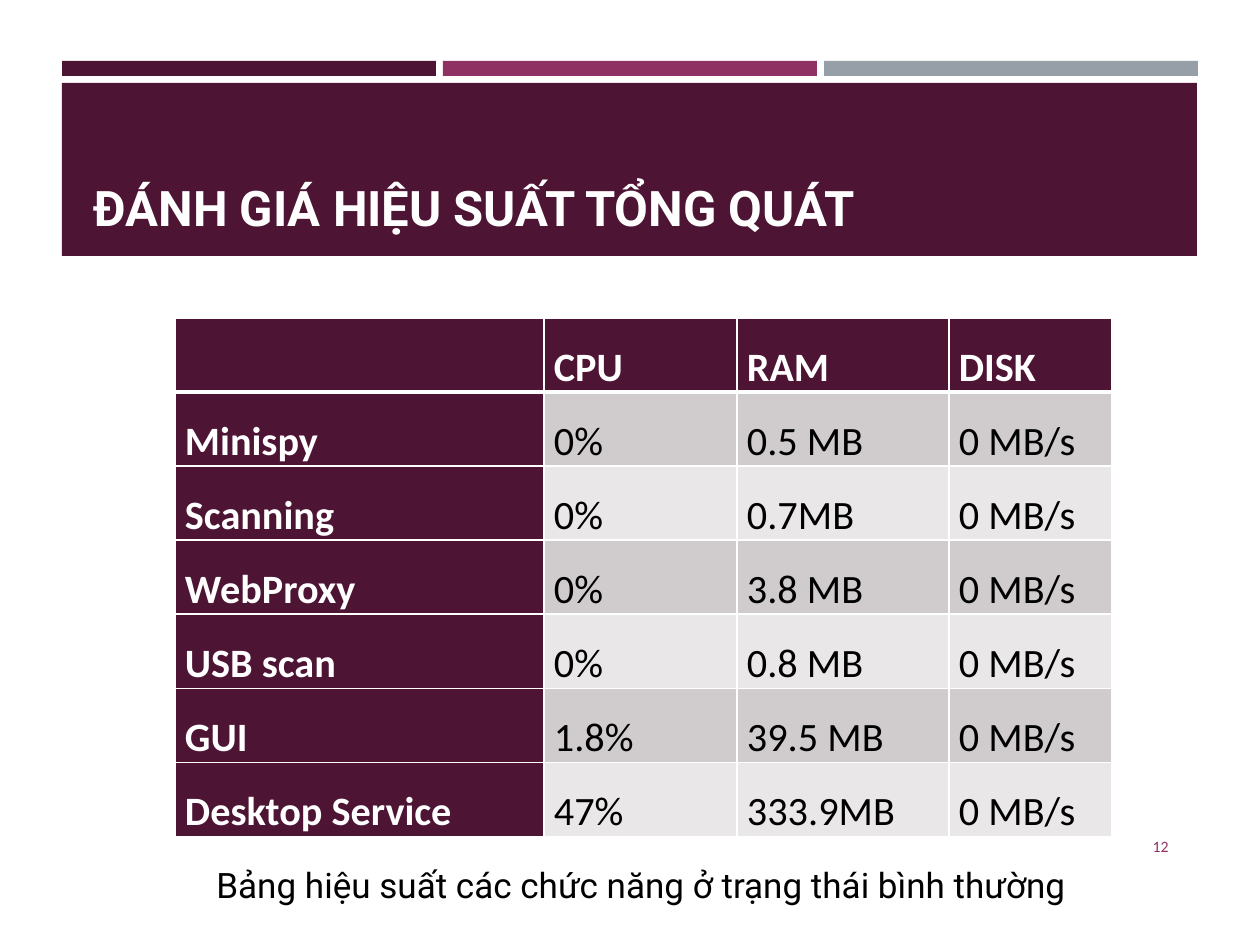
from lxml import etree
from pptx import Presentation
from pptx.dml.color import RGBColor
from pptx.enum.shapes import MSO_SHAPE
from pptx.enum.text import MSO_ANCHOR, MSO_AUTO_SIZE, PP_ALIGN
from pptx.oxml.ns import qn
from pptx.util import Emu, Pt

RECTANGLE = MSO_SHAPE.RECTANGLE
BOTTOM, MIDDLE, TOP = MSO_ANCHOR.BOTTOM, MSO_ANCHOR.MIDDLE, MSO_ANCHOR.TOP
LEFT, RIGHT = PP_ALIGN.LEFT, PP_ALIGN.RIGHT
NO_FIT, GROW = MSO_AUTO_SIZE.NONE, MSO_AUTO_SIZE.SHAPE_TO_FIT_TEXT
TITLE_ONLY = 5
PX_PER_INCH = 126
COLORS = {
    "plum": "4D1434",
    "berry": "903163",
    "slate": "969FA7",
    "band_dark": "D0CCCE",
    "band_light": "E9E7E8",
    "white": "FFFFFF",
    "black": "000000",
}
COLUMN_WIDTHS = [369, 193, 212, 163]
ROW_HEIGHT = 72
PERFORMANCE = [
    ["", "CPU", "RAM", "DISK"],
    ["Minispy", "0%", "0.5 MB", "0 MB/s"],
    ["Scanning", "0%", "0.7MB", "0 MB/s"],
    ["WebProxy", "0%", "3.8 MB", "0 MB/s"],
    ["USB scan", "0%", "0.8 MB", "0 MB/s"],
    ["GUI", "1.8%", "39.5 MB", "0 MB/s"],
    ["Desktop Service", "47%", "333.9MB", "0 MB/s"],
]


def px(length):
    return Emu(round(length * 914400 / PX_PER_INCH))


def color(name):
    return RGBColor.from_string(COLORS[name])


def format_text(frame, size, font, color_name, bold=False, align=LEFT):
    for para in frame.paragraphs:
        para.alignment = align
        for span in para.runs:
            span.font.size = Pt(size)
            span.font.name = font
            span.font.bold = bold
            span.font.color.rgb = color(color_name)


def add_bar(page, left, top, width, height, color_name):
    bar = page.shapes.add_shape(RECTANGLE, px(left), px(top), px(width), px(height))
    bar.shadow.inherit = False
    bar.fill.solid()
    bar.fill.fore_color.rgb = color(color_name)
    bar.line.fill.background()


def set_title(page, text):
    """Place the title in front of the header band."""
    title = page.shapes.title
    title.left, title.top, title.width, title.height = px(81), px(95), px(1101), px(148)
    title.element.getparent().append(title.element)
    frame = title.text_frame
    frame.text = text
    frame.auto_size = NO_FIT
    frame.vertical_anchor = BOTTOM
    format_text(frame, 28, "Roboto", "white", bold=True)


def add_label(page, left, top, width, height, text, anchor, wrap):
    box = page.shapes.add_textbox(px(left), px(top), px(width), px(height))
    frame = box.text_frame
    frame.text = text
    frame.word_wrap = wrap
    frame.auto_size = NO_FIT if wrap else GROW
    frame.vertical_anchor = anchor
    return frame


def set_borders(cell, widths):
    """Draw white borders; widths are points for left, right, top, bottom."""
    properties = cell._tc.get_or_add_tcPr()
    for side, width in zip("LRTB", widths):
        line = etree.SubElement(properties, qn(f"a:ln{side}"), w=str(Pt(width)))
        fill = etree.SubElement(line, qn("a:solidFill"))
        etree.SubElement(fill, qn("a:srgbClr"), val=COLORS["white"])


def format_cell(cell, row, column):
    is_heading = row == 0 or column == 0
    band = "band_dark" if row % 2 else "band_light"
    set_borders(cell, [1, 1, 3 if row == 1 else 1, 3 if row == 0 else 1])
    cell.fill.solid()
    cell.fill.fore_color.rgb = color("plum" if is_heading else band)
    cell.margin_left = cell.margin_right = px(10)
    cell.margin_top = cell.margin_bottom = 0
    para = cell.text_frame.paragraphs[0]
    para.line_spacing = 1.5
    para.space_after = Pt(6)
    text_color = "white" if is_heading else "black"
    format_text(cell.text_frame, 23, "Calibri", text_color, bold=is_heading)


def add_performance_table(page, left, top):
    table = page.shapes.add_table(
        len(PERFORMANCE), len(COLUMN_WIDTHS), px(left), px(top),
        px(sum(COLUMN_WIDTHS)), px(ROW_HEIGHT * len(PERFORMANCE)),
    ).table
    for column, width in zip(table.columns, COLUMN_WIDTHS):
        column.width = px(width)
    for row, values in enumerate(PERFORMANCE):
        table.rows[row].height = px(ROW_HEIGHT)
        for column, value in enumerate(values):
            cell = table.cell(row, column)
            cell.text_frame.text = value
            format_cell(cell, row, column)


def main():
    deck = Presentation()
    deck.slide_width, deck.slide_height = px(1260), px(945)
    page = deck.slides.add_slide(deck.slide_layouts[TITLE_ONLY])

    for index, color_name in enumerate(["plum", "berry", "slate"]):
        add_bar(page, 62 + index * 381, 61, 374, 15, color_name)
    add_bar(page, 62, 83, 1135, 173, "plum")
    set_title(page, "ĐÁNH GIÁ HIỆU SUẤT TỔNG QUÁT")

    add_performance_table(page, 175, 318)

    caption = add_label(page, 204, 857, 885, 55,
                        "Bảng hiệu suất các chức năng ở trạng thái bình thường",
                        TOP, wrap=False)
    format_text(caption, 20, "Roboto", "black")
    page_number = add_label(page, 1075, 821, 106, 50, "12", MIDDLE, wrap=True)
    format_text(page_number, 9, "Calibri", "berry", align=RIGHT)

    deck.save("out.pptx")


if __name__ == "__main__":
    main()
